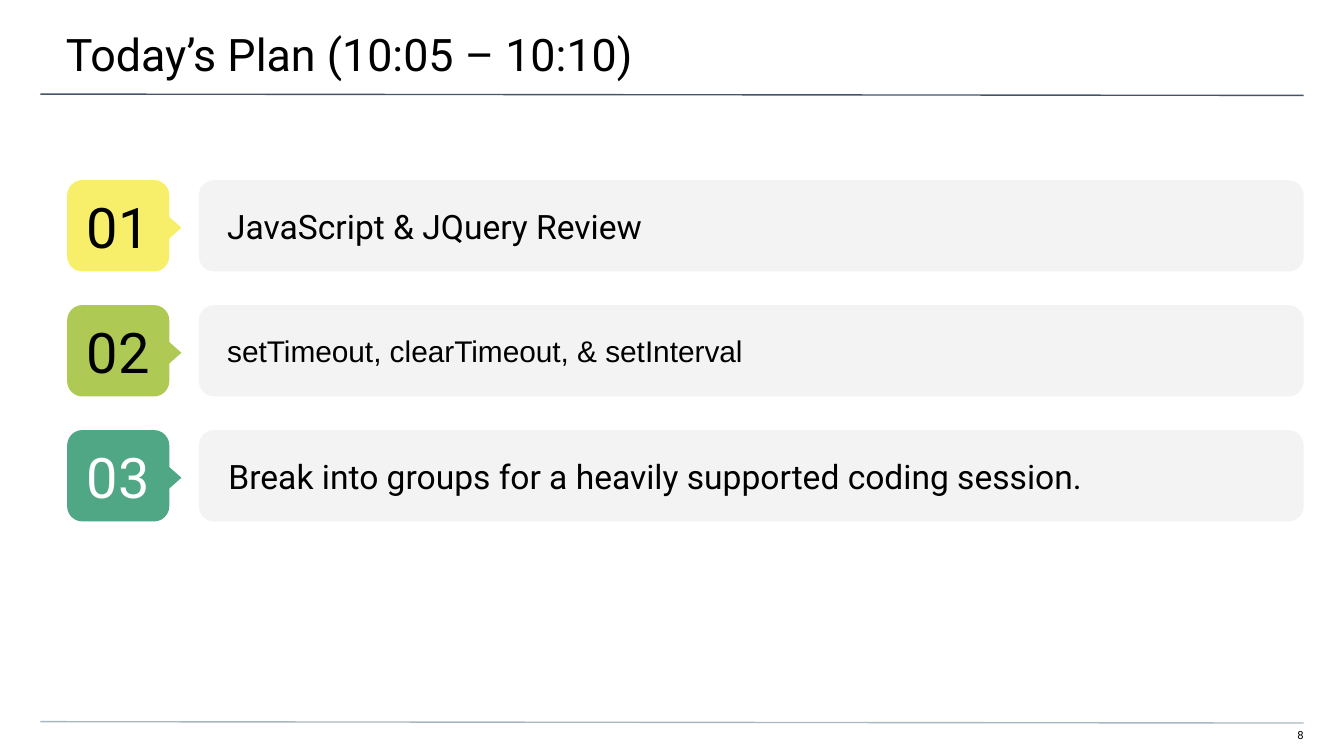
from pptx import Presentation
from pptx.dml.color import RGBColor
from pptx.enum.shapes import MSO_CONNECTOR, MSO_SHAPE
from pptx.enum.text import MSO_ANCHOR, MSO_AUTO_SIZE, PP_ALIGN
from pptx.oxml.ns import qn
from pptx.util import Inches, Pt
from lxml import etree

ROUNDED = MSO_SHAPE.ROUNDED_RECTANGLE
TIP = MSO_SHAPE.FLOWCHART_EXTRACT
STRAIGHT = MSO_CONNECTOR.STRAIGHT
TOP, MIDDLE = MSO_ANCHOR.TOP, MSO_ANCHOR.MIDDLE
LEFT, CENTER, RIGHT = PP_ALIGN.LEFT, PP_ALIGN.CENTER, PP_ALIGN.RIGHT
NO_AUTOFIT = MSO_AUTO_SIZE.NONE

COMPARISON_LAYOUT = 4  # a title and four body placeholders
FONT = "Roboto"
BLACK, WHITE, CARD_GREY = "000000", "FFFFFF", "F3F3F3"
FIRST_ROW, ROW_PITCH, ROW_HEIGHT = 1.34, 0.93, 0.68

# number, badge colour, number colour, text, left edge, font, size
AGENDA = [
    ("01", "F7EF6A", BLACK, "JavaScript & JQuery Review", -0.01, FONT, 18),
    ("02", "AFCA54", BLACK, "setTimeout, clearTimeout, & setInterval", -0.01, "Arial", 16),
    ("03", "4FA786", WHITE, "Break into groups for a heavily supported coding session.",
     0, FONT, 18),
]


def color(hex_string):
    return RGBColor.from_string(hex_string)


def write(shape, text, size, insets, font=FONT, ink=BLACK, align=LEFT, anchor=TOP):
    """Set one line of text; insets are left, top, right, bottom in inches."""
    frame = shape.text_frame
    frame.text = text
    frame.word_wrap = True
    frame.auto_size = NO_AUTOFIT
    frame.vertical_anchor = anchor
    (frame.margin_left, frame.margin_top,
     frame.margin_right, frame.margin_bottom) = map(Inches, insets)
    para = frame.paragraphs[0]
    para.alignment = align
    para.space_before = Pt(0)
    span = para.runs[0]
    span.font.name = font
    span.font.size = Pt(size)
    span.font.bold = False
    span.font.color.rgb = color(ink)


def place(shape, left, top, width, height):
    shape.left, shape.top = Inches(left), Inches(top)
    shape.width, shape.height = Inches(width), Inches(height)


def add_block(shapes, kind, left, top, width, height, fill):
    block = shapes.add_shape(kind, Inches(left), Inches(top), Inches(width), Inches(height))
    block.shadow.inherit = False
    block.fill.solid()
    block.fill.fore_color.rgb = color(fill)
    block.line.fill.background()
    return block


def add_rule(page, top, line_color):
    rule = page.shapes.add_connector(
        STRAIGHT, Inches(0.3), Inches(top), Inches(9.7), Inches(top + 0.01))
    rule.line.color.rgb = color(line_color)
    rule.line.width = Pt(0.75)
    etree.SubElement(rule.element.spPr, qn("a:effectLst"))


def add_badge(page, top, number, fill, ink):
    """Numbered square with a tip that points at its card."""
    badge = page.shapes.add_group_shape()
    square = add_block(badge.shapes, ROUNDED, 0.5, top, 0.76, ROW_HEIGHT, fill)
    write(square, number, 30, (0.1, 0.1, 0.1, 0.1), ink=ink, align=CENTER, anchor=MIDDLE)
    tip = add_block(badge.shapes, TIP, 1.06, top + 0.25, 0.37, 0.21, fill)
    tip.rotation = 90


def fill_item(holder, left, top, text, font, size):
    """Lay a body placeholder over its card, without a bullet."""
    place(holder, left, top + 0.01, 10.03, 0.66)
    write(holder, text, size, (1.7, 0, 0.5, 0), font=font, anchor=MIDDLE)
    para_format = holder.element.find(".//" + qn("a:pPr"))
    para_format.set("marL", "0")
    para_format.set("indent", "0")
    etree.SubElement(para_format, qn("a:buNone"))
    holder.element.getparent().append(holder.element)  # in front of the card


def main():
    deck = Presentation()
    deck.slide_width = Inches(10)
    deck.slide_height = deck.slide_width * 9 // 16
    page = deck.slides.add_slide(deck.slide_layouts[COMPARISON_LAYOUT])
    title, *holders = page.placeholders

    # Page frame
    add_rule(page, 0.7, "44546A")
    add_rule(page, 5.37, "A9B7C0")
    page_number = page.shapes.add_textbox(
        Inches(9.41), Inches(5.42), Inches(0.29), Inches(0.12))
    write(page_number, "8", 6, (0, 0, 0, 0.1), align=RIGHT)

    # Title
    place(title, -0.01, 0, 10.03, 0.58)
    write(title, "Today’s Plan (10:05 – 10:10)", 24, (0.5, 0.2, 0.3, 0.1))

    # Agenda rows
    for row, (number, fill, ink, text, left, font, size) in enumerate(AGENDA):
        top = FIRST_ROW + row * ROW_PITCH
        add_block(page.shapes, ROUNDED, 1.48, top, 8.22, ROW_HEIGHT, CARD_GREY)
        add_badge(page, top, number, fill, ink)
        fill_item(holders[row], left, top, text, font, size)

    # Unused placeholders
    for holder in holders[len(AGENDA):]:
        holder.element.getparent().remove(holder.element)

    deck.save("out.pptx")


if __name__ == "__main__":
    main()
